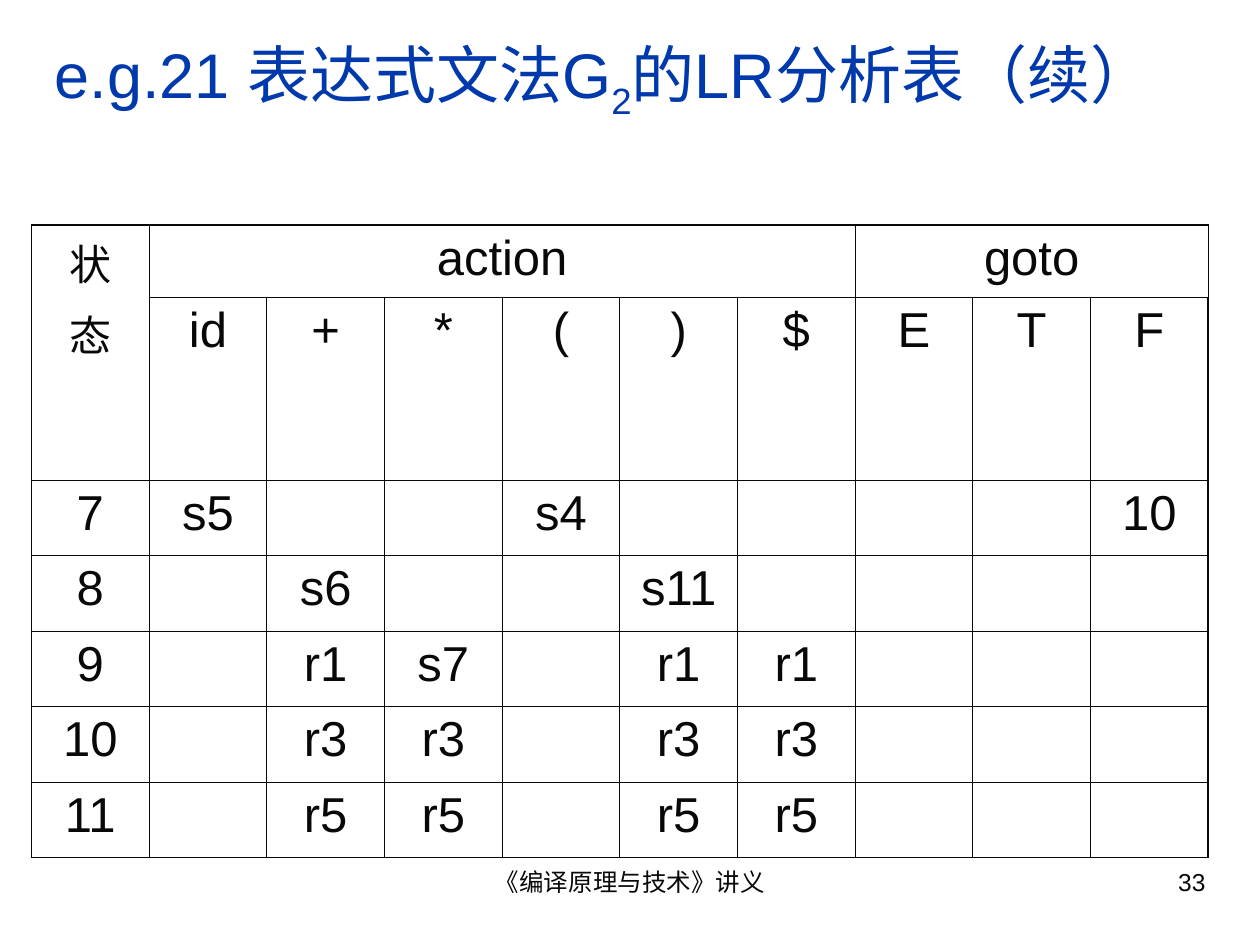
from lxml.etree import SubElement
from pptx import Presentation
from pptx.dml.color import RGBColor
from pptx.enum.text import MSO_ANCHOR, MSO_AUTO_SIZE, PP_ALIGN
from pptx.oxml.ns import qn
from pptx.util import Pt

FONT = "Arial"
INK = RGBColor(0x08, 0x08, 0x08)
BLUE = RGBColor(0x00, 0x39, 0xAC)
THIN, THICK = 0.45, 1.08

SYMBOLS = ["id", "+", "*", "(", ")", "$", "E", "T", "F"]
STATES = {
    "7": {"id": "s5", "(": "s4", "F": "10"},
    "8": {"+": "s6", ")": "s11"},
    "9": {"+": "r1", "*": "s7", ")": "r1", "$": "r1"},
    "10": {"+": "r3", "*": "r3", ")": "r3", "$": "r3"},
    "11": {"+": "r5", "*": "r5", ")": "r5", "$": "r5"},
}
ROW_HEIGHTS = [41, 104.5] + [43.15] * len(STATES)


def style(p, size, color=INK, align=PP_ALIGN.CENTER):
    p.alignment = align
    p.font.name = FONT
    p.font.size = Pt(size)
    p.font.color.rgb = color


def set_border(cell, side, width):
    ln = SubElement(cell._tc.get_or_add_tcPr(), qn(f"a:{side}"), w=str(Pt(width)))
    fill = SubElement(ln, qn("a:solidFill"))
    SubElement(fill, qn("a:srgbClr"), val=str(INK))


def add_title(s, left, top, width, height):
    title = s.shapes.title
    title.left, title.top, title.width, title.height = map(Pt, (left, top, width, height))
    tf = title.text_frame
    tf.word_wrap = True
    tf.auto_size = MSO_AUTO_SIZE.NONE
    tf.vertical_anchor = MSO_ANCHOR.MIDDLE
    p = tf.paragraphs[0]
    style(p, 36, BLUE, PP_ALIGN.LEFT)
    for text, baseline in (("e.g.21 表达式文法G", 0), ("2", -25000), ("的LR分析表（续）", 0)):
        r = p.add_run()
        r.text = text
        if baseline:
            r._r.get_or_add_rPr().set("baseline", str(baseline))


def add_parse_table(s, left, top, width):
    rows = [["状\n态", "action"] + [""] * 5 + ["goto", "", ""], [""] + SYMBOLS]
    rows += [[state] + [moves.get(sym, "") for sym in SYMBOLS] for state, moves in STATES.items()]
    n_rows, n_cols = len(rows), len(rows[0])
    frame = s.shapes.add_table(n_rows, n_cols, Pt(left), Pt(top), Pt(width), Pt(sum(ROW_HEIGHTS)))
    table = frame.table
    table.first_row = table.horz_banding = False
    for col in table.columns:
        col.width = Pt(width / n_cols)
    for row, height in zip(table.rows, ROW_HEIGHTS):
        row.height = Pt(height)

    for i, texts in enumerate(rows):
        for j, text in enumerate(texts):
            cell = table.cell(i, j)
            cell.text = text
            for p in cell.text_frame.paragraphs:
                style(p, 24 if "\n" in text else 28)
            for p in cell.text_frame.paragraphs[1:]:
                p.space_before = Pt(6)
            # Outer edges are thicker than the inner grid
            outer = {"lnL": j == 0, "lnR": j == n_cols - 1, "lnT": i == 0, "lnB": i == n_rows - 1}
            for side, is_outer in outer.items():
                set_border(cell, side, THICK if is_outer else THIN)
            cell.fill.background()

    # Headings that span several cells
    table.cell(0, 0).merge(table.cell(1, 0))
    table.cell(0, 1).merge(table.cell(0, 6))
    table.cell(0, 7).merge(table.cell(0, 9))


def add_footer_text(s, left, top, width, height, text, align):
    tf = s.shapes.add_textbox(Pt(left), Pt(top), Pt(width), Pt(height)).text_frame
    tf.word_wrap = True
    tf.text = text
    style(tf.paragraphs[0], 14, INK, align)


def main():
    prs = Presentation()
    prs.slide_width, prs.slide_height = Pt(720), Pt(540)
    s = prs.slides.add_slide(prs.slide_layouts[5])
    add_footer_text(s, 246, 492, 228, 37.5, "《编译原理与技术》讲义", PP_ALIGN.CENTER)
    add_footer_text(s, 516, 492, 180, 37.5, "33", PP_ALIGN.RIGHT)
    add_title(s, 24, 18, 672, 54)
    add_parse_table(s, 18, 128.75, 672.5)
    prs.save("out.pptx")


if __name__ == "__main__":
    main()
